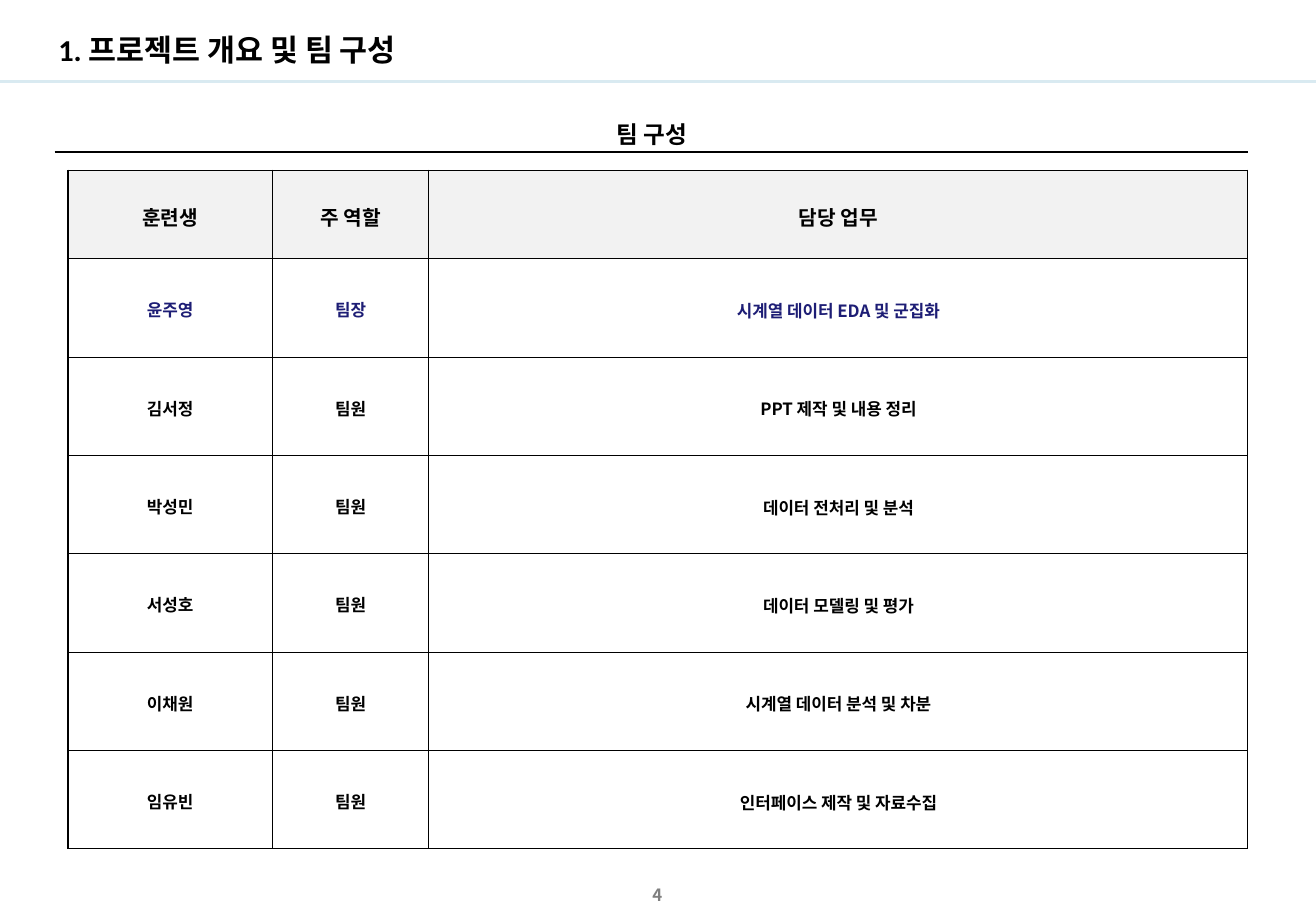
"""Build the team composition slide with its table of roles and tasks."""
from lxml import etree
from pptx import Presentation
from pptx.dml.color import RGBColor
from pptx.enum.shapes import MSO_CONNECTOR
from pptx.enum.text import MSO_ANCHOR, PP_ALIGN
from pptx.oxml.ns import qn
from pptx.util import Inches, Pt

STRAIGHT = MSO_CONNECTOR.STRAIGHT
MIDDLE = MSO_ANCHOR.MIDDLE
LEFT, CENTER = PP_ALIGN.LEFT, PP_ALIGN.CENTER
KOREAN, LATIN = "Noto Sans CJK KR", "Calibri"
COLORS = {"black": "000000", "navy": "1D1D75", "gray": "7F7F7F",
          "header": "F2F2F2", "rule": "D9EAF1"}


def add_run(p, text, size, color="black", font=KOREAN):
    r = p.add_run()
    r.text = text
    r.font.size = Pt(size)
    r.font.bold = True
    r.font.name = font
    r.font.color.rgb = RGBColor.from_string(COLORS[color])
    etree.SubElement(r.font._element, qn("a:ea"), typeface=font)


def add_border(tcPr, side):
    ln = etree.SubElement(tcPr, qn(f"a:{side}"), w=str(Pt(0.75)))
    fill = etree.SubElement(ln, qn("a:solidFill"))
    etree.SubElement(fill, qn("a:srgbClr"), val=COLORS["black"])


prs = Presentation()
prs.slide_width, prs.slide_height = Inches(10.83), Inches(7.5)
s = prs.slides.add_slide(prs.slide_layouts[5])

title = s.shapes.title
title.left, title.top = Inches(0.38), Inches(0.23)
title.width, title.height = Inches(5.04), Inches(0.39)
tf = title.text_frame
tf.vertical_anchor = MIDDLE
p = tf.paragraphs[0]
p.alignment = LEFT
p.line_spacing = 0.9
add_run(p, "1. ", 18, font=LATIN)
add_run(p, "프로젝트 개요 및 팀 구성", 18)

rules = [(0, 10.83, 0.67, "rule", 2), (0.45, 10.27, 1.25, "black", 1)]
for x1, x2, y, color, width in rules:
    line = s.shapes.add_connector(STRAIGHT, Inches(x1), Inches(y), Inches(x2), Inches(y))
    line.line.color.rgb = RGBColor.from_string(COLORS[color])
    line.line.width = Pt(width)
    etree.SubElement(line._element.spPr, qn("a:effectLst"))

labels = [("팀 구성", 0.45, 0.89, 9.83, 0.36, 14, "black"),
          ("4", 4.61, 7.2, 1.6, 0.25, 10, "gray")]
for text, x, y, w, h, size, color in labels:
    box = s.shapes.add_textbox(Inches(x), Inches(y), Inches(w), Inches(h))
    tf = box.text_frame
    tf.word_wrap = True
    p = tf.paragraphs[0]
    p.alignment = CENTER
    p.line_spacing = 1.2
    add_run(p, text, size, color)

rows = [("훈련생", "주 역할", "담당 업무"),
        ("윤주영", "팀장", "시계열 데이터 EDA 및 군집화"),
        ("김서정", "팀원", "PPT 제작 및 내용 정리"),
        ("박성민", "팀원", "데이터 전처리 및 분석"),
        ("서성호", "팀원", "데이터 모델링 및 평가"),
        ("이채원", "팀원", "시계열 데이터 분석 및 차분"),
        ("임유빈", "팀원", "인터페이스 제작 및 자료수집")]
col_widths = [1.68, 1.29, 6.74]
row_heights = [0.73] + [0.81] * 6
table = s.shapes.add_table(len(rows), len(col_widths), Inches(0.56), Inches(1.4),
                           Inches(sum(col_widths)), Inches(sum(row_heights))).table
for col, width in zip(table.columns, col_widths):
    col.width = Inches(width)
for row, height in zip(table.rows, row_heights):
    row.height = Inches(height)

for i, texts in enumerate(rows):
    for j, text in enumerate(texts):
        cell = table.cell(i, j)
        cell.vertical_anchor = MIDDLE
        cell.margin_left = cell.margin_right = cell.margin_top = cell.margin_bottom = 0
        if i and j == 2:
            cell.margin_left = cell.margin_right = cell.margin_top = Inches(0.01)
        for side in ("lnL", "lnR", "lnT", "lnB"):
            add_border(cell._tc.tcPr, side)
        if i == 0:
            cell.fill.solid()
            cell.fill.fore_color.rgb = RGBColor.from_string(COLORS["header"])
        else:
            cell.fill.background()
        p = cell.text_frame.paragraphs[0]
        p.alignment = CENTER
        p.line_spacing = 1.14
        add_run(p, text, 10 if i else 12, "navy" if i == 1 else "black")

prs.save("out.pptx")
